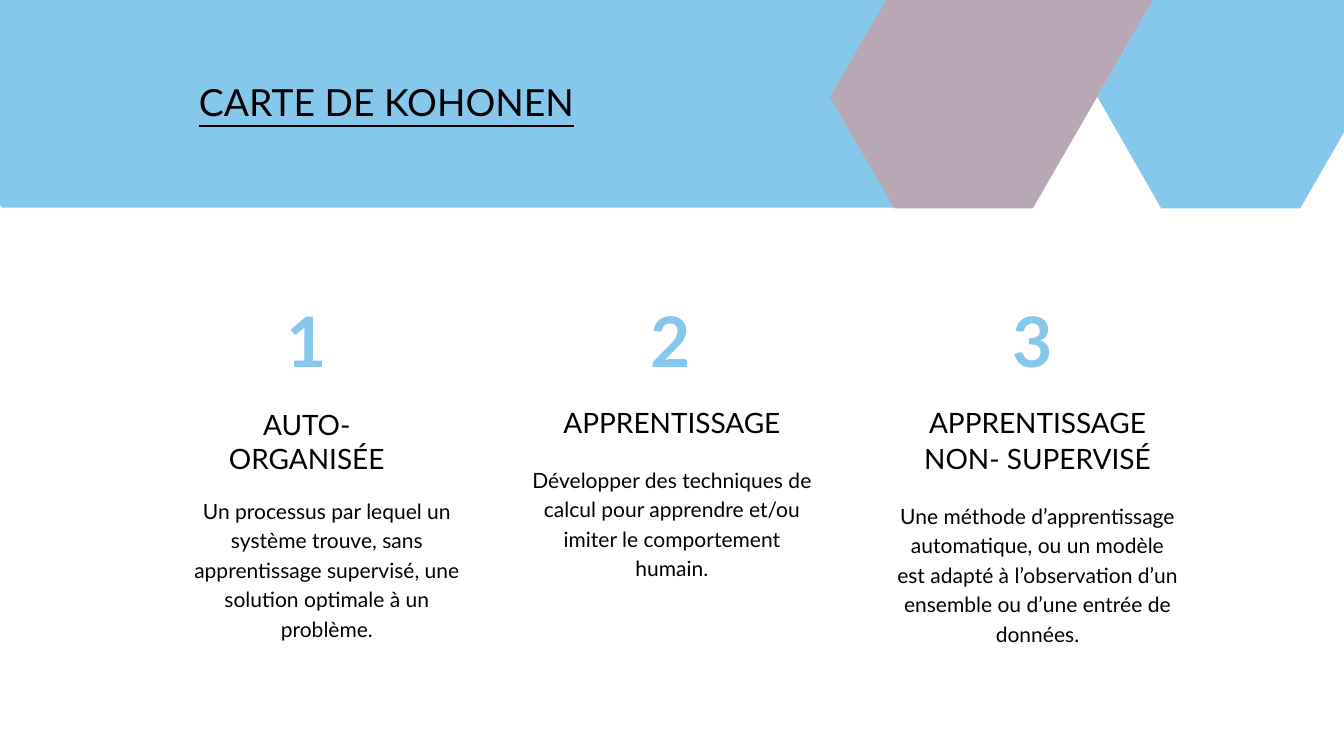
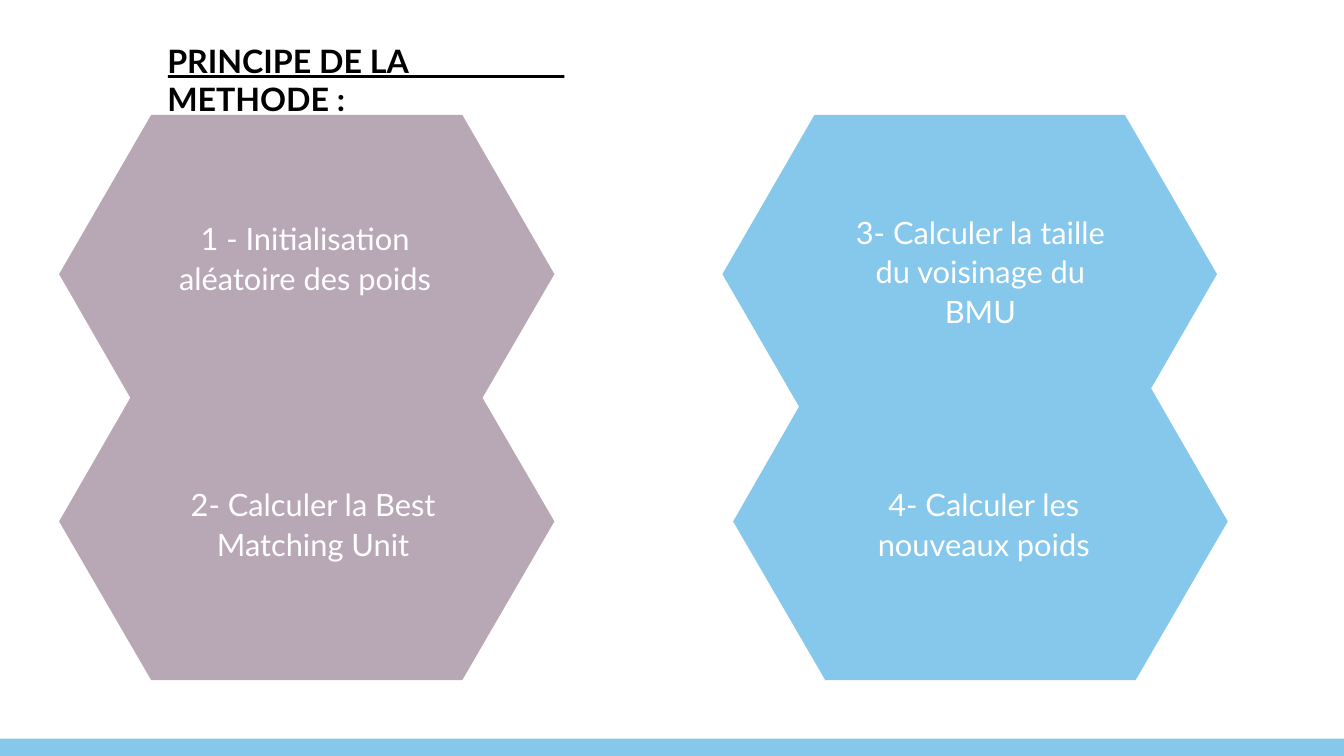
"""Build two slides on the Kohonen map: its three traits and its four-step method."""
from dataclasses import dataclass

import pptx
import pptx.dml.color
import pptx.enum.shapes
import pptx.enum.text
import pptx.util

PX = 9144
SLIDE_WIDTH, SLIDE_HEIGHT = 2000, 1125
TITLE_ONLY = 5
FONT = "Lato"

SKY = pptx.dml.color.RGBColor(0x86, 0xC7, 0xEC)
MAUVE = pptx.dml.color.RGBColor(0xB8, 0xA7, 0xB5)
BLACK = pptx.dml.color.RGBColor(0, 0, 0)
WHITE = pptx.dml.color.RGBColor(0xFF, 0xFF, 0xFF)

LEFT = pptx.enum.text.PP_ALIGN.LEFT
CENTER = pptx.enum.text.PP_ALIGN.CENTER


@dataclass(frozen=True)
class Box:
    left: int
    top: int
    width: int
    height: int

    def emu(self) -> list[int]:
        return [length * PX for length in (self.left, self.top, self.width, self.height)]


@dataclass(frozen=True)
class Style:
    size: float
    color: pptx.dml.color.RGBColor
    bold: bool = False
    underline: bool = False
    align: pptx.enum.text.PP_ALIGN = CENTER
    line_spacing: float = 1.0


@dataclass(frozen=True)
class Outline:
    points: list[tuple[int, int]]
    color: pptx.dml.color.RGBColor


@dataclass(frozen=True)
class Entry:
    text: str
    style: Style
    space_before: float
    left_inset: int = 0
    right_inset: int = 0


@dataclass(frozen=True)
class Trait:
    box: Box
    entries: list[Entry]


@dataclass(frozen=True)
class Step:
    text: str
    center: int
    top: int
    height: int


MAIN_TITLE = Style(40, BLACK, underline=True, align=LEFT)
METHOD_TITLE = Style(34.5, BLACK, bold=True, align=LEFT)
NUMBER = Style(74.5, SKY, bold=True)
HEADING = Style(30, BLACK)
TALL_HEADING = Style(30, BLACK, line_spacing=1.08)
DESCRIPTION = Style(22.5, BLACK, line_spacing=1.17)
STEP = Style(33, WHITE, line_spacing=1.08)
STEP_WIDTH = 400

HEADER = [
    Outline([(0, 0), (1520, 0), (1342, 309), (3, 309), (0, 305)], SKY),
    Outline([(1716, 0), (1319, 0), (1235, 144), (1331, 310), (1537, 310)], MAUVE),
    Outline([(2000, 0), (1716, 0), (1633, 144), (1728, 310), (1935, 310), (2000, 197)], SKY),
]

TRAITS = [
    Trait(Box(277, 441, 419, 464), [
        Entry("1", NUMBER, 1.3, right_inset=60),
        Entry("AUTO-ORGANISÉE", HEADING, 28.2, right_inset=60),
        Entry("Un processus par lequel un système trouve, sans apprentissage supervisé, "
              "une solution optimale à un problème.", DESCRIPTION, 20.6),
    ]),
    Trait(Box(784, 441, 432, 424), [
        Entry("2", NUMBER, 1.3, right_inset=3),
        Entry("APPRENTISSAGE", HEADING, 26.1),
        Entry("Développer des techniques de calcul pour apprendre et/ou imiter le "
              "comportement humain.", DESCRIPTION, 25.6),
    ]),
    Trait(Box(1328, 441, 432, 522), [
        Entry("3", NUMBER, 1.3, right_inset=14),
        Entry("APPRENTISSAGE NON- SUPERVISÉ", TALL_HEADING, 23.1, 15, 15),
        Entry("Une méthode d’apprentissage automatique, ou un modèle est adapté à "
              "l’observation d’un ensemble ou d’une entrée de données.",
              DESCRIPTION, 25.6, 5, 5),
    ]),
]

STEP_PAIRS = [
    Outline([(825, 776), (718, 592), (825, 408), (688, 171), (225, 171), (88, 408),
             (194, 592), (88, 776), (225, 1012), (688, 1012)], MAUVE),
    Outline([(1827, 776), (1713, 578), (1811, 408), (1674, 171), (1212, 171), (1075, 408),
             (1189, 605), (1091, 776), (1228, 1012), (1690, 1012)], SKY),
]

STEPS = [
    Step("1 - Initialisation aléatoire des poids", 454, 322, 122),
    Step("2- Calculer la Best Matching Unit", 466, 717, 122),
    Step("3- Calculer la taille du voisinage du BMU", 1459, 312, 181),
    Step("4- Calculer les nouveaux poids", 1464, 717, 122),
]


def paint(shape, color: pptx.dml.color.RGBColor) -> None:
    shape.fill.solid()
    shape.fill.fore_color.rgb = color
    shape.line.fill.background()
    shape.shadow.inherit = False


def draw_outline(slide, outline: Outline) -> None:
    builder = slide.shapes.build_freeform(*outline.points[0], scale=PX)
    builder.add_line_segments(outline.points[1:], close=True)
    paint(builder.convert_to_shape(), outline.color)


def draw_bar(slide, box: Box, color: pptx.dml.color.RGBColor) -> None:
    rectangle = pptx.enum.shapes.MSO_SHAPE.RECTANGLE
    paint(slide.shapes.add_shape(rectangle, *box.emu()), color)


def write_entries(frame, entries: list[Entry], left: int = 0, top: int = 2) -> None:
    frame.word_wrap = True
    frame.auto_size = pptx.enum.text.MSO_AUTO_SIZE.NONE
    frame.vertical_anchor = pptx.enum.text.MSO_ANCHOR.TOP
    frame.margin_left, frame.margin_top = left * PX, top * PX
    frame.margin_right = frame.margin_bottom = 0
    frame.text = "\n".join(entry.text for entry in entries)
    for paragraph, entry in zip(frame.paragraphs, entries):
        style = entry.style
        paragraph.alignment = style.align
        paragraph.line_spacing = style.line_spacing
        paragraph.space_before = pptx.util.Pt(entry.space_before)
        properties = paragraph._p.get_or_add_pPr()
        properties.set("marL", str(entry.left_inset * PX))
        properties.set("marR", str(entry.right_inset * PX))
        for run in paragraph.runs:
            run.font.name = FONT
            run.font.size = pptx.util.Pt(style.size)
            run.font.bold = style.bold
            run.font.underline = style.underline
            run.font.color.rgb = style.color


def place_title(slide, box: Box, entry: Entry, left: int = 0, top: int = 2) -> None:
    title = slide.shapes.title
    title.left, title.top, title.width, title.height = box.emu()
    write_entries(title.text_frame, [entry], left, top)
    title.element.getparent().append(title.element)


def write_box(slide, box: Box, entries: list[Entry], top: int = 2) -> None:
    write_entries(slide.shapes.add_textbox(*box.emu()).text_frame, entries, top=top)


def build_traits(slide) -> None:
    for outline in HEADER:
        draw_outline(slide, outline)
    place_title(slide, Box(111, 63, 907, 175),
                Entry("CARTE DE KOHONEN", MAIN_TITLE, 1), left=185, top=55)
    for trait in TRAITS:
        write_box(slide, trait.box, trait.entries)


def build_method(slide) -> None:
    for outline in STEP_PAIRS:
        draw_outline(slide, outline)
    draw_bar(slide, Box(0, 1099, SLIDE_WIDTH, 26), SKY)
    draw_bar(slide, Box(250, 112, 590, 4), BLACK)
    place_title(slide, Box(248, 59, 582, 61),
                Entry("PRINCIPE DE LA METHODE :", METHOD_TITLE, 1.2, left_inset=1))
    for step in STEPS:
        box = Box(step.center - STEP_WIDTH // 2, step.top, STEP_WIDTH, step.height)
        write_box(slide, box, [Entry(step.text, STEP, 0.9)], top=1)


def main() -> None:
    deck = pptx.Presentation()
    deck.slide_width, deck.slide_height = SLIDE_WIDTH * PX, SLIDE_HEIGHT * PX
    for build in (build_traits, build_method):
        build(deck.slides.add_slide(deck.slide_layouts[TITLE_ONLY]))
    deck.save("out.pptx")


if __name__ == "__main__":
    main()
